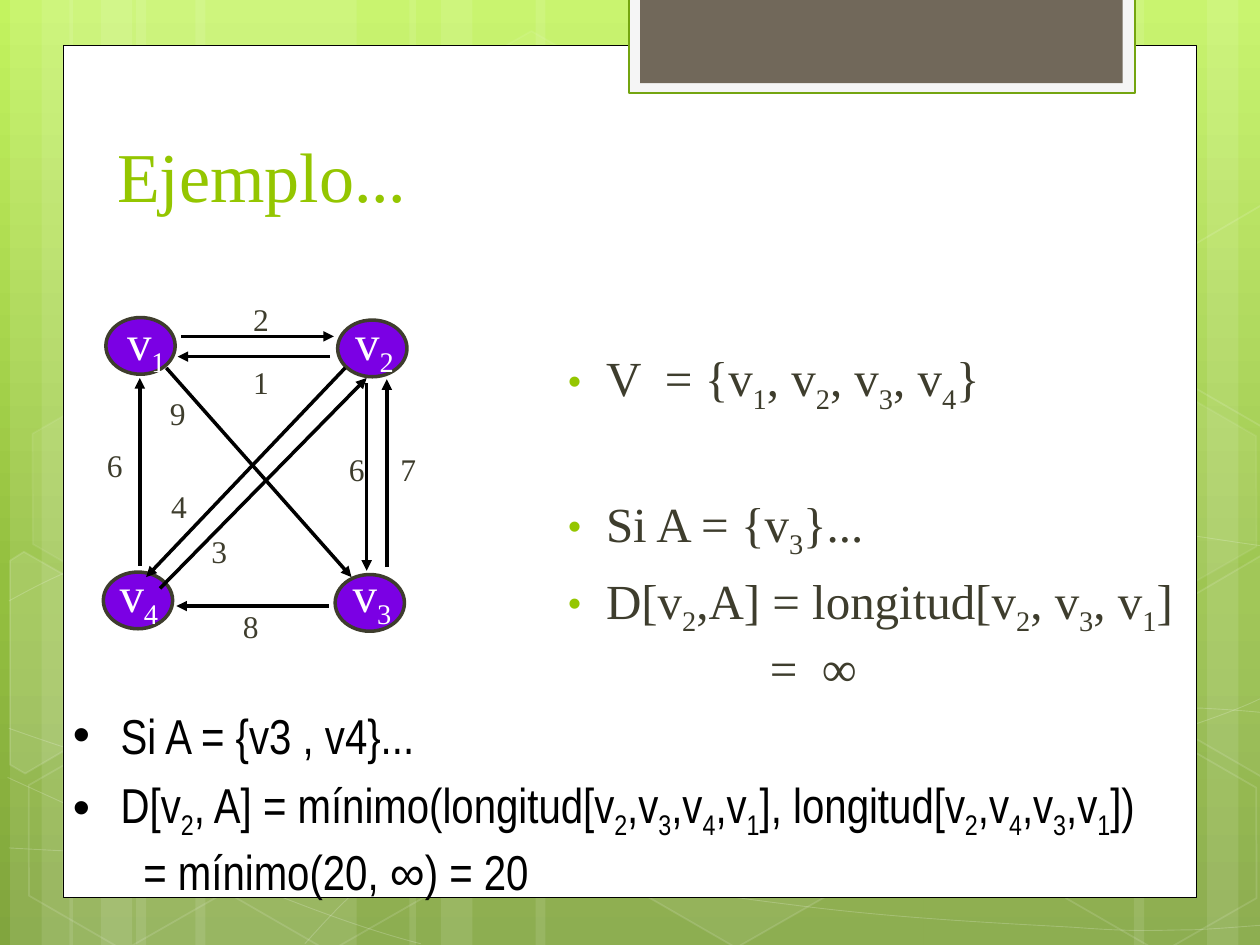
from copy import deepcopy

from lxml.etree import SubElement
from pptx import Presentation
from pptx.dml.color import RGBColor
from pptx.enum.shapes import MSO_CONNECTOR as Connector, MSO_SHAPE as Shape
from pptx.enum.text import MSO_ANCHOR as Anchor, MSO_AUTO_SIZE as AutoSize, PP_ALIGN as Align
from pptx.oxml.ns import qn
from pptx.util import Inches, Pt

WHITE = RGBColor(0xFF, 0xFF, 0xFF)
BLACK = RGBColor(0x00, 0x00, 0x00)
PALE = RGBColor(0xF5, 0xF5, 0xF5)
LIME = RGBColor(0x94, 0xC6, 0x00)
MOSS = RGBColor(0x74, 0xA5, 0x10)
TAUPE = RGBColor(0x71, 0x68, 0x5A)
OLIVE = RGBColor(0x3E, 0x3D, 0x2D)
PURPLE = RGBColor(0x7B, 0x00, 0xE4)
SKY = [(0, RGBColor(0xC3, 0xF3, 0x5F)), (0.62, RGBColor(0x93, 0xBF, 0x3F)),
       (1, RGBColor(0x81, 0xA5, 0x3E))]

SERIF = "Times New Roman"
TITLE = {"name": SERIF, "size": Pt(40), "color": LIME}
BODY = {"name": SERIF, "size": Pt(28), "color": OLIVE}
NODE = {**BODY, "color": WHITE}
WEIGHT = {**BODY, "size": Pt(18)}
NARROW = {"name": "Arial Narrow", "size": Pt(28), "color": BLACK}

STRIPES = [(1.08, 1.75), (0.08, 0.5), (0.33, 0.83), (1.55, 1.75), (0.55, 0.5), (0.8, 0.83),
           (7.33, 1.75), (9.58, 0.5), (9, 0.83), (4.25, 3.08), (3.25, 0.5), (3.5, 0.83)]
CURVES = [
    [(0.07, 6.73), (0.61, 6.76), (1.15, 6.79), (1.9, 6.78), (2.65, 6.77), (3.58, 6.75),
     (4.58, 6.65), (5.58, 6.55), (7, 6.36), (7.92, 6.17), (8.83, 5.98), (9.77, 5.68), (10.07, 5.51)],
    [(0.07, 4.77), (0.36, 4.61), (0.65, 4.46), (1.21, 4.31), (1.78, 4.16), (2.59, 3.94),
     (3.47, 3.87), (4.36, 3.8), (5.44, 3.79), (6.54, 3.87), (7.64, 3.95), (9.47, 4.26), (10.07, 4.34)],
    [(0.06, 6.17), (1.27, 6.72), (2.47, 7.27), (3.34, 7.49)],
    [(0.07, 5.78), (0.38, 5.89), (0.7, 6), (1.28, 6.16), (1.86, 6.31), (2.73, 6.56), (3.57, 6.73),
     (4.4, 6.9), (5.45, 7.08), (6.28, 7.18), (7.11, 7.29), (8, 7.33), (8.53, 7.36),
     (9.05, 7.4), (9.19, 7.38), (9.45, 7.38), (9.71, 7.37), (9.89, 7.35), (10.07, 7.34)],
    [(2.42, 7.49), (2.6, 7.29), (2.78, 7.09), (3.02, 6.91), (3.26, 6.73), (3.6, 6.53), (3.88, 6.39),
     (4.16, 6.25), (4.33, 6.19), (4.7, 6.09), (5.06, 5.99), (5.73, 5.85), (6.08, 5.78),
     (6.44, 5.71), (6.49, 5.71), (6.8, 5.69), (7.11, 5.66), (7.6, 5.63), (7.94, 5.62),
     (8.29, 5.61), (8.86, 5.62), (9.53, 5.62), (9.71, 5.63), (9.88, 5.64), (10.06, 5.66)],
]
HEXAGONS = [(3.34, 0.36, 4, 8), (4.97, 5.89, 6, 12), (0.11, 5.91, 0, 12), (0.14, 3.12, 7, 8),
            (1.74, 5.92, 0, 12), (7.53, 4.53, 10, 12), (8.34, 5.93, 0, 12), (8.34, 3.14, 7, 8)]
CUT_HEXAGONS = [
    ([(0.08, 4.45), (0.19, 4.38), (0.96, 4.82), (0.95, 5.7), (0.2, 6.14), (0.08, 6.07)], 10),
    ([(9.26, 4.85), (10.01, 4.41), (10.09, 4.46), (10.09, 6.13), (10.02, 6.17), (9.26, 5.73)], 4),
    ([(9.26, 2.07), (10.01, 1.63), (10.1, 1.68), (10.09, 3.35), (10.02, 3.39), (9.26, 2.95)], 0),
]

NODES = [("v_1", 0.84, 2.52, 0.91, 2.42), ("v_2", 2.68, 2.54, 2.72, 2.42),
         ("v_4", 0.82, 4.54, 0.85, 4.42), ("v_3", 2.66, 4.56, 2.7, 4.42)]
EDGES = [(1.44, 2.67, 2.65, 2.67), (2.62, 2.83, 1.41, 2.83), (2.61, 4.81, 1.4, 4.81),
         (2.91, 3.04, 2.91, 4.53), (3.07, 4.5, 3.07, 3.01), (1.11, 4.49, 1.11, 3),
         (2.74, 2.92, 1.16, 4.58), (1.27, 4.67, 2.91, 3), (1.32, 2.92, 2.79, 4.58)]
WEIGHTS = [("2", 1.91, 2.33), ("1", 1.91, 2.83), ("9", 1.25, 3.08), ("6", 0.75, 3.49),
           ("6", 2.67, 3.52), ("7", 3.08, 3.52), ("4", 1.26, 3.82), ("3", 1.58, 4.17), ("8", 1.83, 4.77)]


def inches(values):
    """Turn plain numbers into lengths."""
    return [Inches(value) for value in values]


def paint(shape, fill=None, line=None, width=1, opacity=100, line_opacity=100):
    """Set fill and outline, each with its own opacity in percent."""
    shape.shadow.inherit = False
    properties = shape._element.spPr
    if fill is None:
        shape.fill.background()
    else:
        shape.fill.solid()
        shape.fill.fore_color.rgb = fill
        if opacity < 100:
            SubElement(properties.find(qn("a:solidFill"))[0], qn("a:alpha"), val=str(opacity * 1000))
    if line is None:
        shape.line.fill.background()
    else:
        shape.line.color.rgb = line
        shape.line.width = Pt(width)
        if line_opacity < 100:
            solid = properties.find(qn("a:ln")).find(qn("a:solidFill"))
            SubElement(solid[0], qn("a:alpha"), val=str(line_opacity * 1000))


def add_block(page, kind, box, **look):
    """Add a painted preset shape."""
    shape = page.shapes.add_shape(kind, *inches(box))
    paint(shape, **look)
    return shape


def add_outline(page, points, close, **look):
    """Add a painted polygon or open line."""
    start, *rest = [inches(point) for point in points]
    builder = page.shapes.build_freeform(*start)
    builder.add_line_segments(rest, close=close)
    shape = builder.convert_to_shape()
    paint(shape, **look)
    return shape


def add_curve(page, knots, **look):
    """Add a chain of cubic curves, three points to a curve."""
    shape = add_outline(page, knots, False, **look)
    track = next(shape._element.iter(qn("a:path")))
    legs = track.findall(qn("a:lnTo"))
    for first in range(0, len(legs), 3):
        curve = SubElement(track, qn("a:cubicBezTo"))
        for leg in legs[first:first + 3]:
            curve.append(leg[0])
            track.remove(leg)


def write(para, text, style):
    """Write text in which each underscore lowers the next character."""
    head, *rest = text.split("_")
    pieces = [(head, False)]
    for part in rest:
        pieces += [(part[0], True), (part[1:], False)]
    for piece, lowered in pieces:
        if piece:
            span = para.add_run()
            span.text = piece
            span.font.color.rgb = style["color"]
            for key in ("name", "size"):
                setattr(span.font, key, style[key])
            if lowered:
                span._r.get_or_add_rPr().set("baseline", "-25000")


def write_list(frame, items, style, hang, bullet_color, bullet_size):
    """Write items of text, space before, and left margin when not bulleted."""
    for index, (text, space, margin) in enumerate(items):
        para = frame.paragraphs[0] if index == 0 else frame.add_paragraph()
        properties = para._p.get_or_add_pPr()
        properties.set("marL", str(Inches(margin or 0.38)))
        properties.set("indent", str(0 if margin else -Inches(hang)))
        if margin:
            SubElement(properties, qn("a:buNone"))
        else:
            color = SubElement(properties, qn("a:buClr"))
            SubElement(color, qn("a:srgbClr"), val=str(bullet_color))
            SubElement(properties, qn("a:buSzPct"), val=str(bullet_size * 1000))
            SubElement(properties, qn("a:buFont"), typeface="Arial")
            SubElement(properties, qn("a:buChar"), char="•")
        para.space_before = Pt(space)
        write(para, text, style)


def place(page, holder, box, **layout):
    """Bring a placeholder to the front and fit it to a box."""
    page.shapes._spTree.append(holder._element)
    for side, length in zip(("left", "top", "width", "height"), inches(box)):
        setattr(holder, side, length)
    frame = holder.text_frame
    for key, value in {"word_wrap": True, "auto_size": AutoSize.NONE, **layout}.items():
        setattr(frame, key, value)
    return frame


def add_label(page, box, text, style):
    """Add a one-line text box."""
    frame = page.shapes.add_textbox(*inches(box)).text_frame
    frame.word_wrap = False
    write(frame.paragraphs[0], text, style)


def draw_backdrop(page, height):
    """Draw the gradient, stripes, curves and hexagons."""
    fill = page.background.fill
    fill.gradient()
    fill.gradient_angle = 270
    stop_list = next(page._element.iter(qn("a:gsLst")))
    stop_list.append(deepcopy(stop_list[-1]))
    for stop, (position, color) in zip(fill.gradient_stops, SKY):
        stop.position = position
        stop.color.rgb = color
    for left, width in STRIPES:
        add_block(page, Shape.RECTANGLE, (left, 0, width, height), fill=WHITE, opacity=10)
    for knots in CURVES:
        add_curve(page, knots, line=WHITE, width=0.5, line_opacity=20)
    for left, top, opacity, line_opacity in HEXAGONS:
        hexagon = add_block(page, Shape.HEXAGON, (left, top, 1.75, 1.52), fill=WHITE if opacity else None,
                            opacity=opacity, line=WHITE, line_opacity=line_opacity)
        hexagon.rotation = 30
        hexagon.adjustments[0] = 0.29
        hexagon.adjustments[1] = 1.15
    for points, opacity in CUT_HEXAGONS:
        add_outline(page, points, True, fill=WHITE if opacity else None, opacity=opacity,
                    line=WHITE, line_opacity=12)


def draw_panel(page, box):
    """Draw the white sheet and the tab at its top."""
    add_block(page, Shape.RECTANGLE, box, fill=WHITE, line=BLACK, width=0.5)
    add_block(page, Shape.RECTANGLE, (4.99, -0.02, 4.02, 0.76), fill=PALE, line=MOSS, width=1.25)
    add_block(page, Shape.RECTANGLE, (5.08, -0.02, 3.83, 0.68), fill=TAUPE)


def draw_graph(page, left, top):
    """Draw the weighted directed graph from its top left corner."""
    across, down = left - 0.75, top - 2.33
    for name, x, y, label_x, label_y in NODES:
        add_block(page, Shape.OVAL, (x + across, y + down, 0.55, 0.45), fill=PURPLE, line=OLIVE, width=2)
        add_label(page, (label_x + across, label_y + down, 0.52, 0.56), name, NODE)
    for x1, y1, x2, y2 in EDGES:
        ends = inches((x1 + across, y1 + down, x2 + across, y2 + down))
        edge = page.shapes.add_connector(Connector.STRAIGHT, *ends)
        edge.line.color.rgb = BLACK
        edge.line.width = Pt(2)
        SubElement(edge.line._get_or_add_ln(), qn("a:tailEnd"), type="triangle")
        SubElement(edge._element.spPr, qn("a:effectLst"))
    for weight, x, y in WEIGHTS:
        add_label(page, (x + across, y + down, 0.32, 0.4), weight, WEIGHT)


def add_title(page, box):
    """Fill the title placeholder."""
    para = place(page, page.shapes.title, box, vertical_anchor=Anchor.BOTTOM).paragraphs[0]
    para.alignment = Align.LEFT
    write(para, "Ejemplo...", TITLE)


def add_definitions(page, box):
    """Fill the body placeholder beside the graph."""
    frame = place(page, page.placeholders[1], box, vertical_anchor=Anchor.TOP, margin_top=Inches(0.59))
    items = [("V  = {v_1, v_2, v_3, v_4}", 0, None), ("Si A = {v_3}...", 45, None),
             ("D[v_2,A] = longitud[v_2, v_3, v_1]", 5.6, None), ("=  ∞", 0, 1.68)]
    write_list(frame, items, BODY, 0.3, LIME, 76)


def add_result(page, box):
    """Add the list below the graph."""
    frame = page.shapes.add_textbox(*inches(box)).text_frame
    frame.word_wrap = True
    items = [("Si A = {v3 , v4}...", 0, None),
             ("D[v_2, A] = mínimo(longitud[v_2,v_3,v_4,v_1], longitud[v_2,v_4,v_3,v_1])", 5.6, None),
             ("= mínimo(20, ∞) = 20", 0, 0.56)]
    write_list(frame, items, NARROW, 0.38, BLACK, 100)


def main():
    """Build and save the slide."""
    deck = Presentation()
    deck.slide_width, deck.slide_height = inches((10, 7.5))
    page = deck.slides.add_slide(deck.slide_layouts[1])
    draw_backdrop(page, 7.5)
    draw_panel(page, (0.5, 0.36, 9, 6.76))
    add_title(page, (0.83, 0.52, 7.68, 1.25))
    add_definitions(page, (4.33, 2.17, 5.33, 3.33))
    draw_graph(page, 0.75, 2.33)
    add_result(page, (0.48, 5.55, 9.1, 0.9))
    deck.save("out.pptx")


if __name__ == "__main__":
    main()
